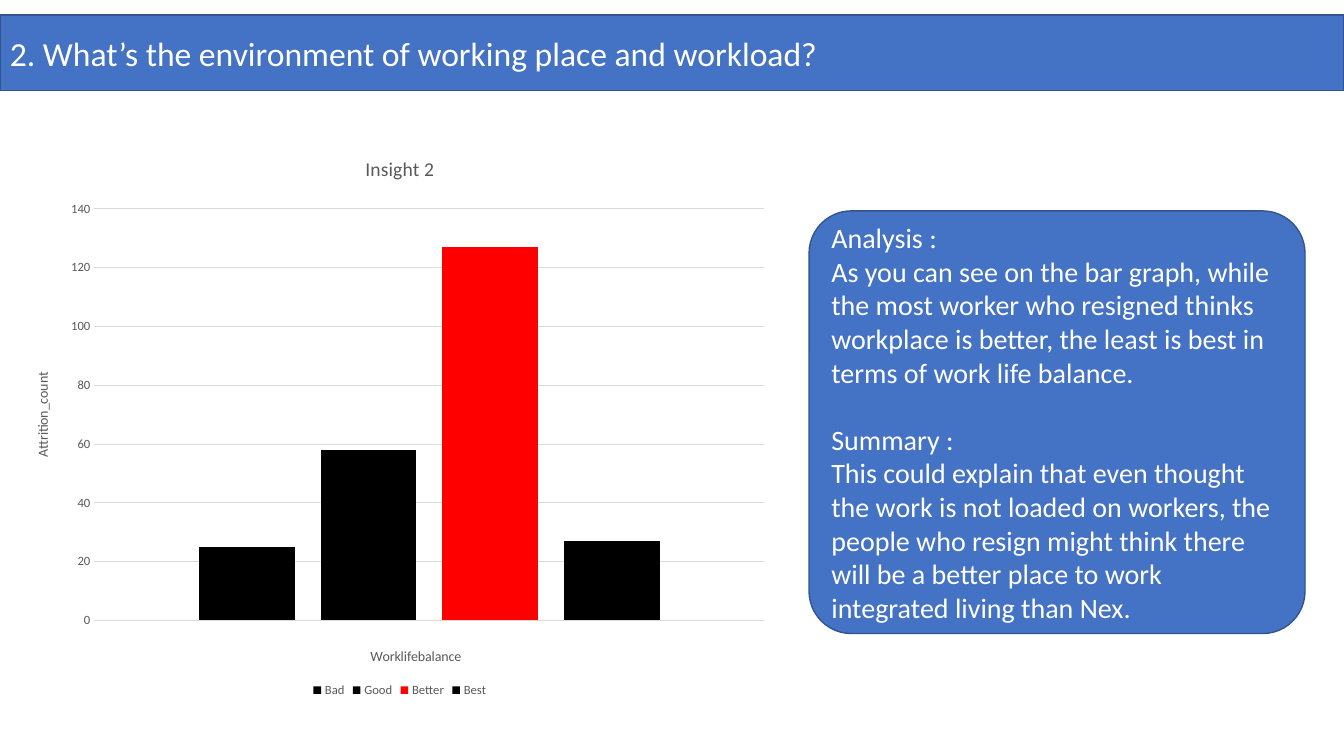
from lxml.etree import SubElement
from pptx import Presentation
from pptx.chart.data import CategoryChartData
from pptx.dml.color import RGBColor
from pptx.enum.chart import XL_CHART_TYPE as ChartType, XL_LEGEND_POSITION as LegendPosition, XL_TICK_MARK as TickMark
from pptx.enum.shapes import MSO_SHAPE as Shape
from pptx.enum.text import MSO_ANCHOR as Anchor, PP_ALIGN as Align
from pptx.oxml.ns import qn
from pptx.util import Inches, Pt

BLUE = RGBColor(0x44, 0x72, 0xC4)
NAVY = RGBColor(0x32, 0x54, 0x91)
WHITE = RGBColor(0xFF, 0xFF, 0xFF)
BLACK = RGBColor(0, 0, 0)
RED = RGBColor(0xFF, 0, 0)
GRAY = RGBColor(0x59, 0x59, 0x59)
PALE = RGBColor(0xD9, 0xD9, 0xD9)
FONT = "Calibri"
WIDTH, HEIGHT = 13.33, 7.5

HEADING = ["2. What’s the environment of working place and workload?"]
FINDINGS = [
    "Analysis :",
    "As you can see on the bar graph, while the most worker who resigned thinks workplace is better, "
    "the least is best in terms of work life balance.",
    "Summary :",
    "This could explain that even thought the work is not loaded on workers, the people who resign "
    "might think there will be a better place to work integrated living than Nex.",
]
RATINGS = [("Bad", 25, BLACK), ("Good", 58, BLACK), ("Better", 127, RED), ("Best", 27, BLACK)]

BANNER = (0, 0.02, 1, 0.1)
CHART = (0, 0.179, 0.595, 0.749)
PANEL = (0.602, 0.279, 0.369, 0.559)
PLOT = {"x": 0.118, "y": 0.13, "w": 0.838, "h": 0.727}
AXIS_NAME = {"x": 0.46, "y": 0.9}


def place(left, top, width, height):
    """Turn shares of the slide into lengths."""
    return (Inches(left * WIDTH), Inches(top * HEIGHT),
            Inches(width * WIDTH), Inches(height * HEIGHT))


def style(font, size, color):
    """Set the face, size and colour of a font."""
    font.name, font.size, font.bold = FONT, Pt(size), False
    font.color.rgb = color


def add_panel(page, kind, area, lines, size):
    """Add a blue panel with left-aligned white text."""
    box = page.shapes.add_shape(kind, *place(*area))
    box.shadow.inherit = False
    box.fill.solid()
    box.fill.fore_color.rgb = BLUE
    box.line.color.rgb = NAVY
    box.line.width = Pt(1)
    frame = box.text_frame
    frame.word_wrap = True
    frame.vertical_anchor = Anchor.MIDDLE
    for index, line in enumerate(lines):
        para = frame.paragraphs[0] if index == 0 else frame.add_paragraph()
        para.text = line
        para.alignment = Align.LEFT
        style(para.font, size, WHITE)
        if line.startswith("Summary"):
            para.space_before = Pt(24)
    return box


def set_title(owner, text, size):
    """Give a chart or an axis its title."""
    para = owner.text_frame.paragraphs[0]
    para.text = text
    style(para.font, size, GRAY)


def set_layout(parent, shares, inner=False):
    """Fix the place of a chart part by shares of the chart."""
    layout = parent.find(qn("c:layout"))
    if layout is None:
        layout = SubElement(parent, qn("c:layout"))
        parent.insert(0, layout)
    manual = SubElement(layout, qn("c:manualLayout"))
    if inner:
        SubElement(manual, qn("c:layoutTarget")).set("val", "inner")
    for axis in "xy":
        SubElement(manual, qn(f"c:{axis}Mode")).set("val", "edge")
    for name, share in shares.items():
        SubElement(manual, qn(f"c:{name}")).set("val", str(share))


def add_ratings_chart(page):
    """Add the column chart of attrition by work life balance."""
    data = CategoryChartData()
    data.categories = ["1"]
    for name, count, _ in RATINGS:
        data.add_series(name, [count])
    chart = page.shapes.add_chart(ChartType.COLUMN_CLUSTERED, *place(*CHART), data).chart
    style(chart.font, 10, BLACK)
    chart.has_title = True
    set_title(chart.chart_title, "Insight 2", 14)
    chart.has_legend = True
    chart.legend.position = LegendPosition.BOTTOM
    chart.legend.include_in_layout = False
    style(chart.legend.font, 9, GRAY)

    columns = chart.plots[0]
    columns.gap_width, columns.overlap = 219, -27
    columns.vary_by_categories = False
    for series, (_, _, color) in zip(columns.series, RATINGS):
        series.format.fill.solid()
        series.format.fill.fore_color.rgb = color

    balance, counts = chart.category_axis, chart.value_axis
    set_title(balance.axis_title, "Worklifebalance", 10)
    set_title(counts.axis_title, "Attrition_count", 10)
    balance.visible = False
    counts.minimum_scale, counts.maximum_scale, counts.major_unit = 0, 140, 20
    counts.major_tick_mark = TickMark.NONE
    counts.format.line.fill.background()
    counts.major_gridlines.format.line.color.rgb = PALE
    counts.major_gridlines.format.line.width = Pt(0.75)
    style(counts.tick_labels.font, 9, GRAY)
    plot_area = next(chart.element.iter(qn("c:plotArea")))
    set_layout(plot_area, PLOT, inner=True)
    set_layout(next(plot_area.iter(qn("c:title"))), AXIS_NAME)


def main():
    """Build the slide and save it."""
    deck = Presentation()
    deck.slide_width, deck.slide_height = Inches(WIDTH), Inches(HEIGHT)
    page = deck.slides.add_slide(deck.slide_layouts[6])
    add_panel(page, Shape.RECTANGLE, BANNER, HEADING, 24)
    add_ratings_chart(page)
    panel = add_panel(page, Shape.ROUNDED_RECTANGLE, PANEL, FINDINGS, 20)
    panel.adjustments[0] = 0.1
    deck.save("out.pptx")


if __name__ == "__main__":
    main()
